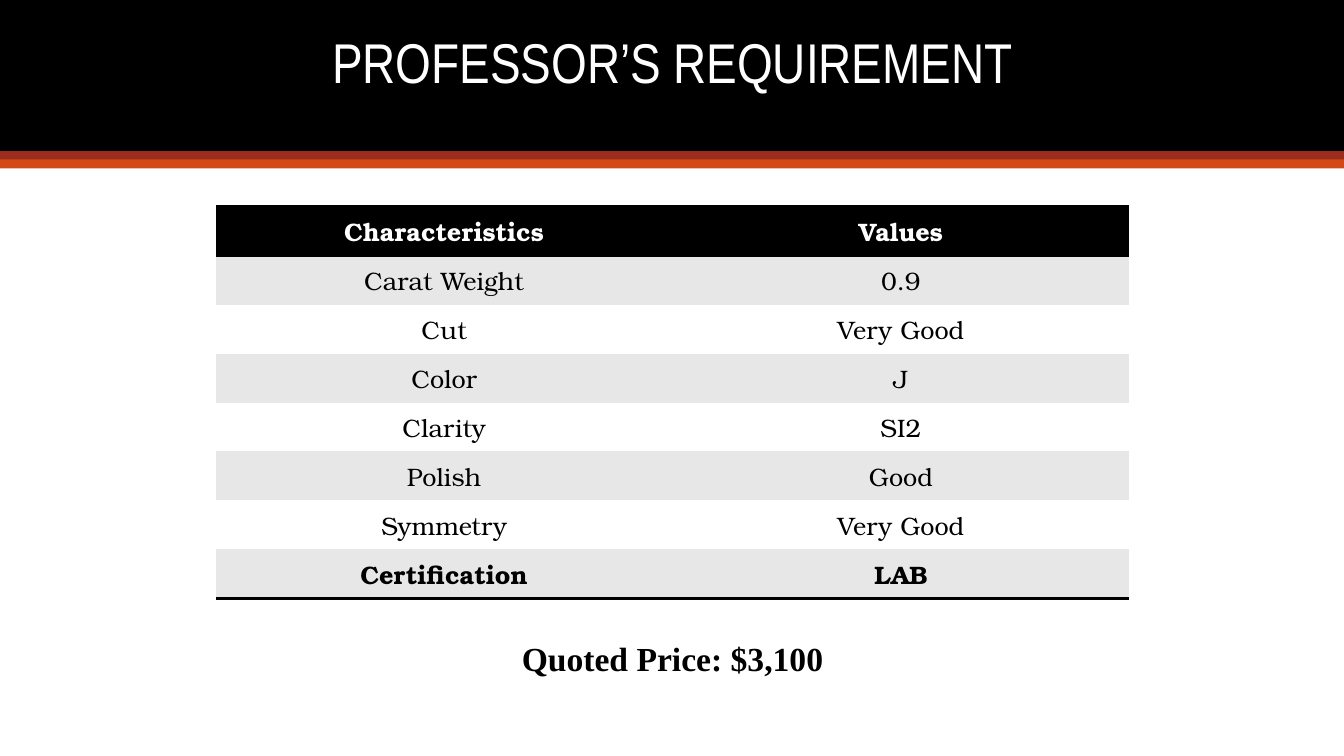
import lxml.etree
import pptx
import pptx.dml.color
import pptx.enum.shapes
import pptx.enum.text
import pptx.oxml.ns
import pptx.util

# Content
TITLE = "PROFESSOR’S REQUIREMENT"
ROWS = [
    ("Characteristics", "Values"),
    ("Carat Weight", "0.9"),
    ("Cut", "Very Good"),
    ("Color", "J"),
    ("Clarity", "SI2"),
    ("Polish", "Good"),
    ("Symmetry", "Very Good"),
    ("Certification", "LAB"),
]
PRICE = "Quoted Price: $3,100"

COLORS = {"black": "000000", "white": "FFFFFF", "red": "9B2D1F",
          "orange": "D34817", "band": "E7E7E7"}
# Header bands: top, height, colour
BANDS = [(0, 1.5, "black"), (1.5, 0.09, "red"), (1.58, 0.09, "orange")]

SLIDE_WIDTH, SLIDE_HEIGHT = 13.33, 7.5
TABLE_LEFT, TABLE_TOP, COLUMN_WIDTH, ROW_HEIGHT = 2.14, 2.05, 4.53, 0.486
PLAIN_TABLE_STYLE = "{2D5ABB26-0587-4C30-8999-92F81FD0307C}"

Inches = pptx.util.Inches
MIDDLE = pptx.enum.text.MSO_ANCHOR.MIDDLE


def rgb(name):
    return pptx.dml.color.RGBColor.from_string(COLORS[name])


def write(text_frame, text, font_name, size, color, bold=False):
    paragraph = text_frame.paragraphs[0]
    paragraph.alignment = pptx.enum.text.PP_ALIGN.CENTER
    run = paragraph.add_run()
    run.text = text
    run.font.name = font_name
    run.font.size = pptx.util.Pt(size)
    run.font.bold = bold
    run.font.color.rgb = rgb(color)
    return paragraph


def add_text(slide, box, *text_settings):
    text_frame = slide.shapes.add_textbox(*map(Inches, box)).text_frame
    text_frame.word_wrap = True
    return text_frame, write(text_frame, *text_settings)


def add_borders(cell, sides):
    """Draw 2 pt black borders; they go before the fill in the cell properties."""
    qn = pptx.oxml.ns.qn
    properties = cell._tc.get_or_add_tcPr()
    for index, side in enumerate(sides):
        line = lxml.etree.Element(qn("a:ln" + side), w=str(pptx.util.Pt(2)))
        fill = lxml.etree.SubElement(line, qn("a:solidFill"))
        lxml.etree.SubElement(fill, qn("a:srgbClr"), val=COLORS["black"])
        properties.insert(index, line)


def add_table(slide):
    frame = slide.shapes.add_table(
        len(ROWS), 2, Inches(TABLE_LEFT), Inches(TABLE_TOP),
        Inches(2 * COLUMN_WIDTH), Inches(len(ROWS) * ROW_HEIGHT))
    table = frame.table
    table._tbl.tblPr.find(pptx.oxml.ns.qn("a:tableStyleId")).text = PLAIN_TABLE_STYLE
    for column in table.columns:
        column.width = Inches(COLUMN_WIDTH)
    last = len(ROWS) - 1
    for row_index, values in enumerate(ROWS):
        table.rows[row_index].height = Inches(ROW_HEIGHT)
        is_header = row_index == 0
        fill = "black" if is_header else "band" if row_index % 2 else "white"
        sides = "TB" if is_header else "B" if row_index == last else ""
        for column_index, value in enumerate(values):
            cell = table.cell(row_index, column_index)
            cell.vertical_anchor = MIDDLE
            cell.fill.solid()
            cell.fill.fore_color.rgb = rgb(fill)
            add_borders(cell, sides)
            write(cell.text_frame, value, "TeX Gyre Bonum", 18,
                  "white" if is_header else "black", row_index in (0, last))


def main():
    presentation = pptx.Presentation()
    presentation.slide_width = Inches(SLIDE_WIDTH)
    presentation.slide_height = Inches(SLIDE_HEIGHT)
    slide = presentation.slides.add_slide(presentation.slide_layouts[6])

    # Header bands
    for top, height, color in BANDS:
        band = slide.shapes.add_shape(
            pptx.enum.shapes.MSO_SHAPE.RECTANGLE,
            0, Inches(top), Inches(SLIDE_WIDTH), Inches(height))
        band.shadow.inherit = False
        band.fill.solid()
        band.fill.fore_color.rgb = rgb(color)
        band.line.fill.background()

    # Title
    title_frame, title_paragraph = add_text(
        slide, (1.42, 0.08, 10.5, 1.13), TITLE, "Arial Narrow", 40, "white")
    title_frame.vertical_anchor = MIDDLE
    title_paragraph.line_spacing = 0.9

    # Requirements and price
    add_table(slide)
    add_text(slide, (5.03, 6.28, 3.28, 0.5),
             PRICE, "Times New Roman", 24, "black", True)

    presentation.save("out.pptx")


if __name__ == "__main__":
    main()
